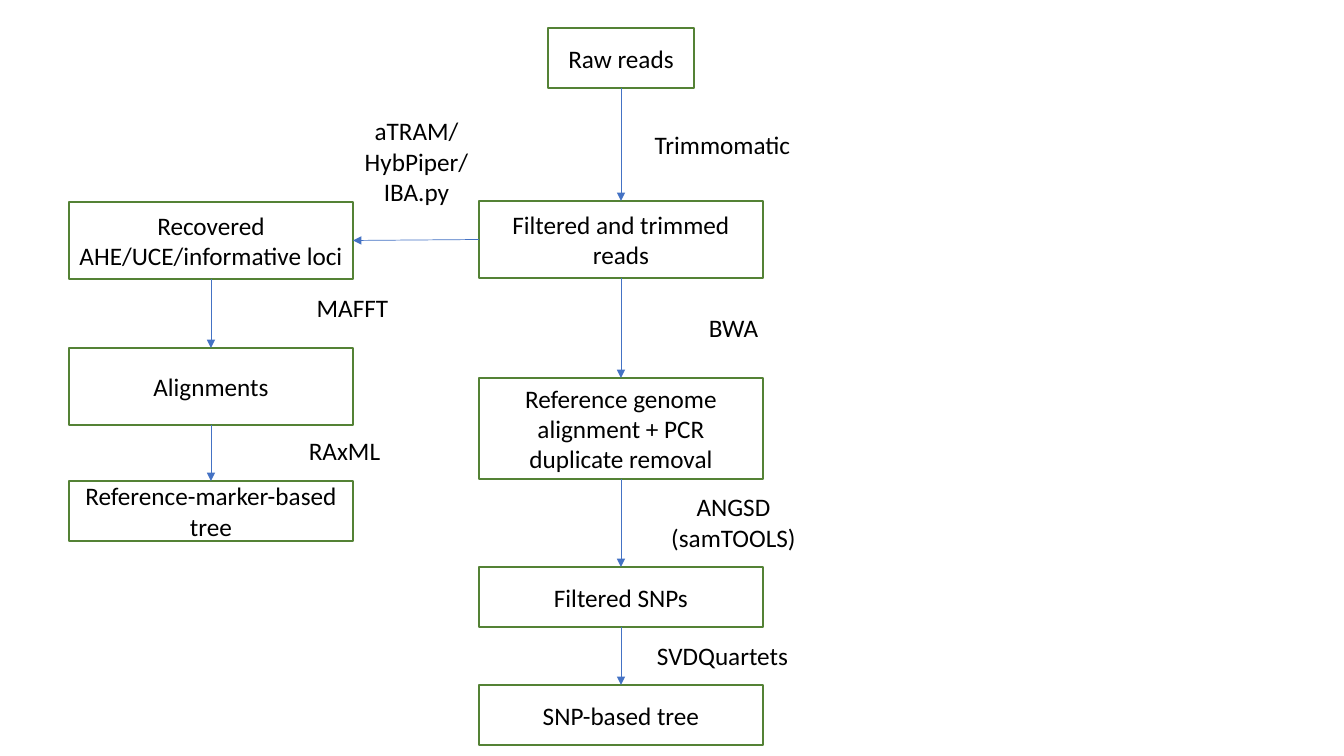
from collections import namedtuple

from lxml.etree import SubElement
from pptx import Presentation
from pptx.dml.color import RGBColor
from pptx.enum.shapes import MSO_CONNECTOR, MSO_SHAPE
from pptx.enum.text import MSO_ANCHOR, PP_ALIGN
from pptx.oxml.ns import qn
from pptx.util import Emu, Pt

SCALE = 914400 / 100.8
FONT = "Calibri"
INK = "000000"
GREEN = "548235"
BLUE = "4472C4"
LABEL_WIDTH, LABEL_HEIGHT = 165, 60
TOP, LEFT, BOTTOM, RIGHT = range(4)

Box = namedtuple("Box", "left top width height")
Step = namedtuple("Step", "text top width height")
Label = namedtuple("Label", "text left top")

SNP_BOX = Box(479, 28, 284, 717)
SNP_STEPS = [
    Step("Raw reads", 0, 146, 60),
    Step("Filtered and trimmed reads", 173, 284, 77),
    Step("Reference genome alignment + PCR duplicate removal", 350, 284, 101),
    Step("Filtered SNPs", 539, 284, 60),
    Step("SNP-based tree", 657, 284, 60),
]
SNP_LABELS = [
    Label("Trimmomatic", 161, 86),
    Label("BWA", 172, 269),
    Label("ANGSD (samTOOLS)", 172, 464),
    Label("SVDQuartets", 161, 597),
]

MARKER_BOX = Box(69, 202, 284, 339)
MARKER_STEPS = [
    Step("Recovered AHE/UCE/informative loci", 0, 284, 77),
    Step("Alignments", 146, 284, 77),
    Step("Reference-marker-based tree", 279, 284, 60),
]
MARKER_LABELS = [
    Label("aTRAM/HybPiper/IBA.py", 265, -71),
    Label("MAFFT", 201, 75),
    Label("RAxML", 193, 218),
]


def px(length):
    return Emu(round(length * SCALE))


def colour(value):
    return RGBColor.from_string(value)


def write(shape, text):
    frame = shape.text_frame
    frame.word_wrap = True
    frame.vertical_anchor = MSO_ANCHOR.MIDDLE
    para = frame.paragraphs[0]
    para.alignment = PP_ALIGN.CENTER
    span = para.add_run()
    span.text = text
    span.font.name = FONT
    span.font.size = Pt(18)
    span.font.color.rgb = colour(INK)


def add_step(page, box, step):
    left = box.left + (box.width - step.width) / 2
    shape = page.shapes.add_shape(
        MSO_SHAPE.RECTANGLE, px(left), px(box.top + step.top), px(step.width), px(step.height)
    )
    shape.shadow.inherit = False
    shape.fill.background()
    shape.line.color.rgb = colour(GREEN)
    shape.line.width = Pt(1)
    write(shape, step.text)
    return shape


def add_label(page, box, label):
    shape = page.shapes.add_textbox(
        px(box.left + label.left), px(box.top + label.top), px(LABEL_WIDTH), px(LABEL_HEIGHT)
    )
    write(shape, label.text)


def add_arrow(page, source, source_side, target, target_side):
    arrow = page.shapes.add_connector(MSO_CONNECTOR.STRAIGHT, 0, 0, 0, 0)
    arrow.begin_connect(source, source_side)
    arrow.end_connect(target, target_side)
    arrow.line.color.rgb = colour(BLUE)
    arrow.line.width = Pt(0.5)
    SubElement(arrow.line._get_or_add_ln(), qn("a:tailEnd"), type="triangle")
    SubElement(arrow._element.spPr, qn("a:effectLst"))


def add_workflow(page, box, steps, labels):
    shapes = [add_step(page, box, step) for step in steps]
    for source, target in zip(shapes, shapes[1:]):
        add_arrow(page, source, BOTTOM, target, TOP)
    for label in labels:
        add_label(page, box, label)
    return shapes


deck = Presentation()
deck.slide_width, deck.slide_height = px(1344), px(756)
page = deck.slides.add_slide(deck.slide_layouts[6])
snp_shapes = add_workflow(page, SNP_BOX, SNP_STEPS, SNP_LABELS)
marker_shapes = add_workflow(page, MARKER_BOX, MARKER_STEPS, MARKER_LABELS)
add_arrow(page, snp_shapes[1], LEFT, marker_shapes[0], RIGHT)
deck.save("out.pptx")
